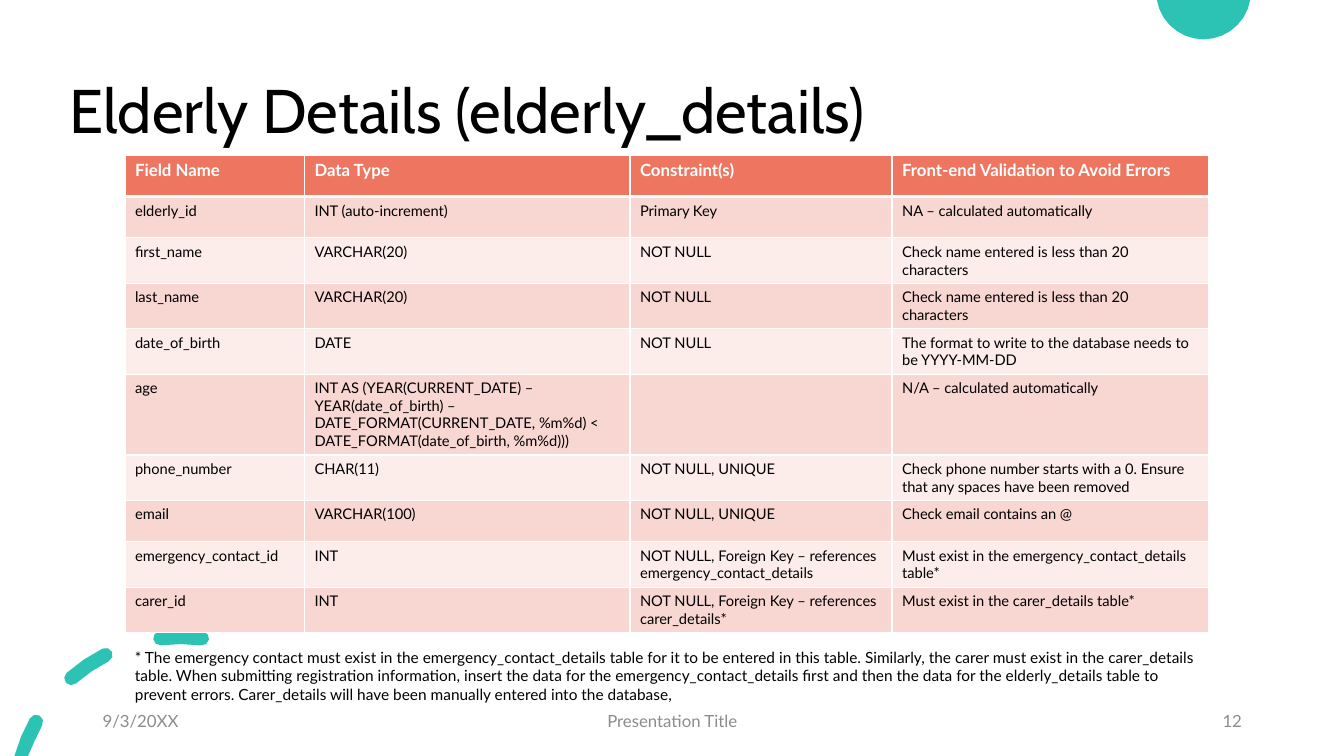
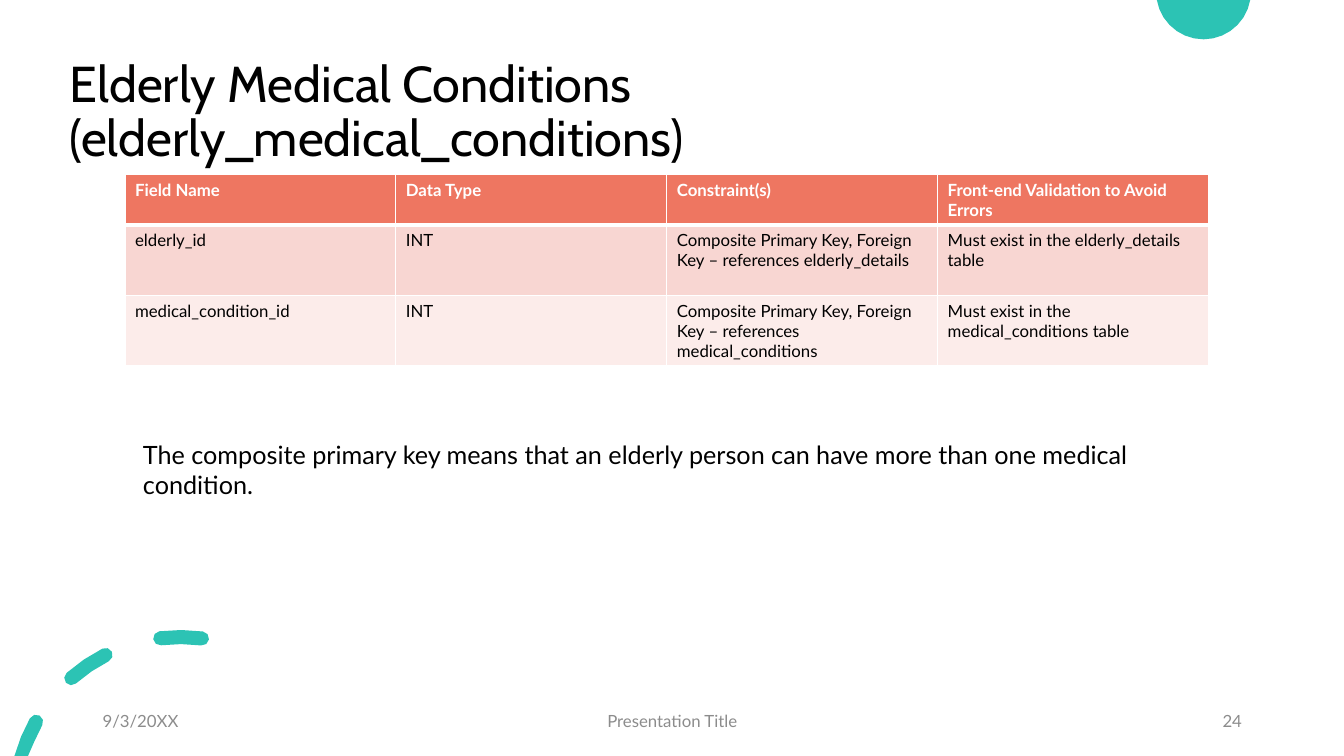
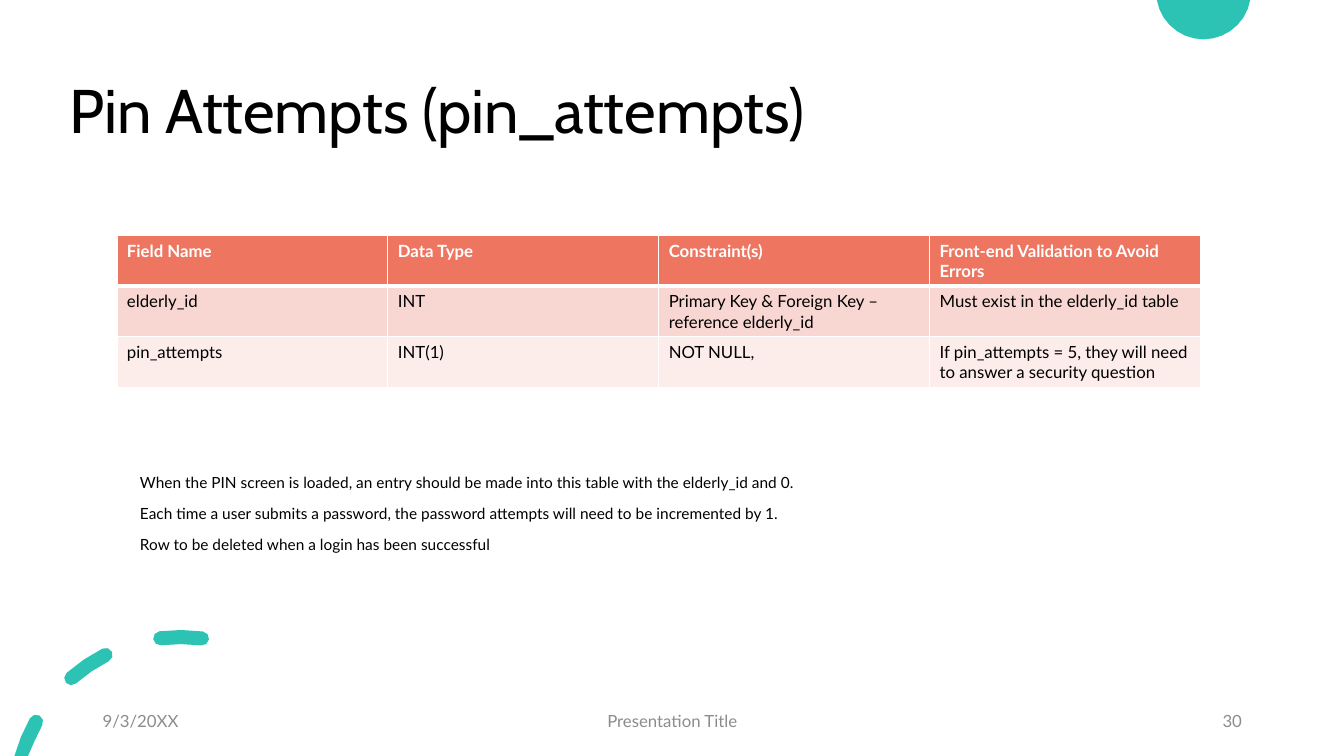
from math import cos, radians, sin

from lxml import etree
from pptx import Presentation
from pptx.dml.color import RGBColor
from pptx.enum.text import MSO_ANCHOR, PP_ALIGN
from pptx.oxml.ns import qn
from pptx.util import Inches, Pt

LEFT, CENTER, RIGHT = PP_ALIGN.LEFT, PP_ALIGN.CENTER, PP_ALIGN.RIGHT
MIDDLE, TOP = MSO_ANCHOR.MIDDLE, MSO_ANCHOR.TOP
TEAL = RGBColor(0x2C, 0xC3, 0xB4)
CORAL = RGBColor(0xEE, 0x76, 0x61)
PINK = RGBColor(0xF8, 0xD6, 0xD2)
PALE_PINK = RGBColor(0xFC, 0xEC, 0xEA)
GRAY = RGBColor(0x8C, 0x8C, 0x8C)
BLACK = RGBColor(0, 0, 0)
WHITE = RGBColor(0xFF, 0xFF, 0xFF)
TITLE_FONT, BODY_FONT = "Cabin", "Lato"
WIDTH, HEIGHT = 40 / 3, 7.5
TABLE_WIDTH, HEADER_HEIGHT = 10.75, 0.41
EQUAL_COLS = [TABLE_WIDTH / 4] * 4
HEADER = ["Field Name", "Data Type", "Constraint(s)",
          "Front-end Validation to Avoid Errors"]
HEADER_BORDERS = [("a:lnL", 1), ("a:lnR", 1), ("a:lnT", 1), ("a:lnB", 3)]

SLIDES = [
    {
        "title": "Elderly Details (elderly_details)", "title_size": 44, "page": "12",
        "table_at": (1.24, 1.54), "table_height": 4.89,
        "cols": [1.78, 3.23, 2.6, 3.14], "row_height": 0.41, "cell_size": 10.5,
        "rows": [
            ["elderly_id", "INT (auto-increment)", "Primary Key",
             "NA – calculated automatically"],
            ["first_name", "VARCHAR(20)", "NOT NULL",
             "Check name entered is less than 20 characters"],
            ["last_name", "VARCHAR(20)", "NOT NULL",
             "Check name entered is less than 20 characters"],
            ["date_of_birth", "DATE", "NOT NULL",
             "The format to write to the database needs to be YYYY-MM-DD"],
            ["age", "INT AS (YEAR(CURRENT_DATE) – YEAR(date_of_birth) – "
             "DATE_FORMAT(CURRENT_DATE, %m%d) < DATE_FORMAT(date_of_birth, %m%d)))",
             "", "N/A – calculated automatically"],
            ["phone_number", "CHAR(11)", "NOT NULL, UNIQUE",
             "Check phone number starts with a 0. Ensure that any spaces have been removed"],
            ["email", "VARCHAR(100)", "NOT NULL, UNIQUE", "Check email contains an @"],
            ["emergency_contact_id", "INT",
             "NOT NULL, Foreign Key – references emergency_contact_details",
             "Must exist in the emergency_contact_details table*"],
            ["carer_id", "INT", "NOT NULL, Foreign Key – references carer_details*",
             "Must exist in the carer_details table*"],
        ],
        "note_box": (1.24, 6.38, TABLE_WIDTH, 0.66), "note_size": 11,
        "line_spacing": 1.0, "space_before": 0,
        "note": ["* The emergency contact must exist in the emergency_contact_details table "
                 "for it to be entered in this table. Similarly, the carer must exist in the "
                 "carer_details table. When submitting registration information, insert the "
                 "data for the emergency_contact_details first and then the data for the "
                 "elderly_details table to prevent errors. Carer_details will have been "
                 "manually entered into the database,"],
    },
    {
        "title": "Elderly Medical Conditions (elderly_medical_conditions)",
        "title_size": 36, "page": "24",
        "table_at": (1.24, 1.73), "table_height": 1.9,
        "cols": EQUAL_COLS, "row_height": 0.7, "cell_size": 12,
        "rows": [
            ["elderly_id", "INT",
             "Composite Primary Key, Foreign Key – references elderly_details",
             "Must exist in the elderly_details table"],
            ["medical_condition_id", "INT",
             "Composite Primary Key, Foreign Key – references medical_conditions",
             "Must exist in the medical_conditions table"],
        ],
        "note_box": (1.32, 4.31, TABLE_WIDTH, 0.71), "note_size": 18,
        "line_spacing": 1.0, "space_before": 0,
        "note": ["The composite primary key means that an elderly person can have more "
                 "than one medical condition."],
    },
    {
        "title": "Pin Attempts (pin_attempts)", "title_size": 44, "page": "30",
        "table_at": (1.16, 2.34), "table_height": 1.7,
        "cols": EQUAL_COLS, "row_height": 0.41, "cell_size": 12,
        "rows": [
            ["elderly_id", "INT", "Primary Key & Foreign Key – reference elderly_id",
             "Must exist in the elderly_id table"],
            ["pin_attempts", "INT(1)", "NOT NULL,",
             "If pin_attempts = 5, they will need to answer a security question"],
        ],
        "note_box": (1.29, 4.67, TABLE_WIDTH, 1.16), "note_size": 11,
        "line_spacing": 0.9, "space_before": 10,
        "note": ["When the PIN screen is loaded, an entry should be made into this table "
                 "with the elderly_id and 0.",
                 "Each time a user submits a password, the password attempts will need to "
                 "be incremented by 1.",
                 "Row to be deleted when a login has been successful"],
    },
]


def arc(cx, cy, radius, start, end, steps):
    """Points of an arc, in degrees clockwise from the top, kept on the slide."""
    angles = [radians(start + (end - start) * i / steps) for i in range(steps + 1)]
    return [(Inches(cx + radius * sin(a)),
             Inches(min(max(cy - radius * cos(a), 0), HEIGHT))) for a in angles]


def add_text(s, box, lines, size, color, align=LEFT, anchor=TOP,
             line_spacing=1.0, space_before=0):
    tf = s.shapes.add_textbox(*map(Inches, box)).text_frame
    tf.word_wrap = True
    tf.vertical_anchor = anchor
    tf.text = "\n".join(lines)
    for p in tf.paragraphs:
        p.alignment = align
        p.line_spacing = line_spacing
        p.space_before = Pt(space_before)
        p.font.name, p.font.size, p.font.color.rgb = BODY_FONT, Pt(size), color


prs = Presentation()
prs.slide_width, prs.slide_height = Inches(WIDTH), Inches(HEIGHT)
layout = prs.slide_layouts[5]
slides = [prs.slides.add_slide(layout) for _ in SLIDES]

# Decorations: a disc cut by the top edge, and round-ended dashes on one ring
disc = arc(11.94, -0.08, 0.47, 99.8, 260.2, 14)
ring_x, ring_y, ring_radius, half_width = 1.79, 7.96, 1.64, 0.07
dashes = []
for start, end in [(-74.4, -60.8), (-41.3, -26.9), (-7, 7.5)]:
    dash = arc(ring_x, ring_y, ring_radius + half_width, start, end, 2)
    for tip, turn, back in [(end, 0, start), (start, 180, None)]:
        tip_x = ring_x + ring_radius * sin(radians(tip))
        tip_y = ring_y - ring_radius * cos(radians(tip))
        if tip_y < HEIGHT:
            dash += arc(tip_x, tip_y, half_width, tip + turn, tip + turn + 180, 4)[1:-1]
        if back is not None:
            dash += arc(ring_x, ring_y, ring_radius - half_width, tip, back, 2)
    dashes.append(dash)

for contours in ([disc], dashes):
    builder = slides[0].shapes.build_freeform(*contours[0][0])
    for i, points in enumerate(contours):
        if i:
            builder.move_to(*points[0])
        builder.add_line_segments(points[1:])
    sp = builder.convert_to_shape()
    sp.shadow.inherit = False
    sp.fill.solid()
    sp.fill.fore_color.rgb = TEAL
    sp.line.fill.background()
    layout.shapes.element.append(sp.element)  # moves it to the shared layout

for s, content in zip(slides, SLIDES):
    title = s.shapes.title
    title.left, title.top = Inches(0.59), Inches(0.4)
    title.width, title.height = Inches(11.5), Inches(1.45)
    title.text_frame.text = content["title"]
    title.text_frame.vertical_anchor = MIDDLE
    p = title.text_frame.paragraphs[0]
    p.alignment, p.line_spacing = LEFT, 0.9
    p.font.name, p.font.size = TITLE_FONT, Pt(content["title_size"])
    p.font.color.rgb = BLACK

    rows = [HEADER] + content["rows"]
    left, top = content["table_at"]
    frame = s.shapes.add_table(
        len(rows), len(HEADER), Inches(left), Inches(top), Inches(TABLE_WIDTH),
        Inches(content["table_height"]))
    table = frame.table
    for column, width in zip(table.columns, content["cols"]):
        column.width = Inches(width)
    for r, row in enumerate(rows):
        table.rows[r].height = Inches(content["row_height"] if r else HEADER_HEIGHT)
        for c, text in enumerate(row):
            cell = table.cell(r, c)
            cell.text = text
            if r == 0:
                tcPr = cell._tc.get_or_add_tcPr()
                for tag, points in HEADER_BORDERS:
                    ln = etree.SubElement(tcPr, qn(tag), w=str(Pt(points)))
                    fill = etree.SubElement(ln, qn("a:solidFill"))
                    etree.SubElement(fill, qn("a:srgbClr"), val=str(WHITE))
            cell.fill.solid()
            cell.fill.fore_color.rgb = CORAL if r == 0 else PINK if r % 2 else PALE_PINK
            font = cell.text_frame.paragraphs[0].font
            font.name, font.bold = BODY_FONT, r == 0
            font.size = Pt(content["cell_size"] if r else 12)
            font.color.rgb = BLACK if r else WHITE
    frame.height = Inches(content["table_height"])

    add_text(s, content["note_box"], content["note"], content["note_size"], BLACK,
             line_spacing=content["line_spacing"], space_before=content["space_before"])

    for x, width, text, align in [(0.92, 3, "9/3/20XX", LEFT),
                                  (4.42, 4.5, "Presentation Title", CENTER),
                                  (9.42, 3, content["page"], RIGHT)]:
        add_text(s, (x, 6.95, width, 0.4), [text], 12, GRAY, align, MIDDLE)

prs.save("out.pptx")
